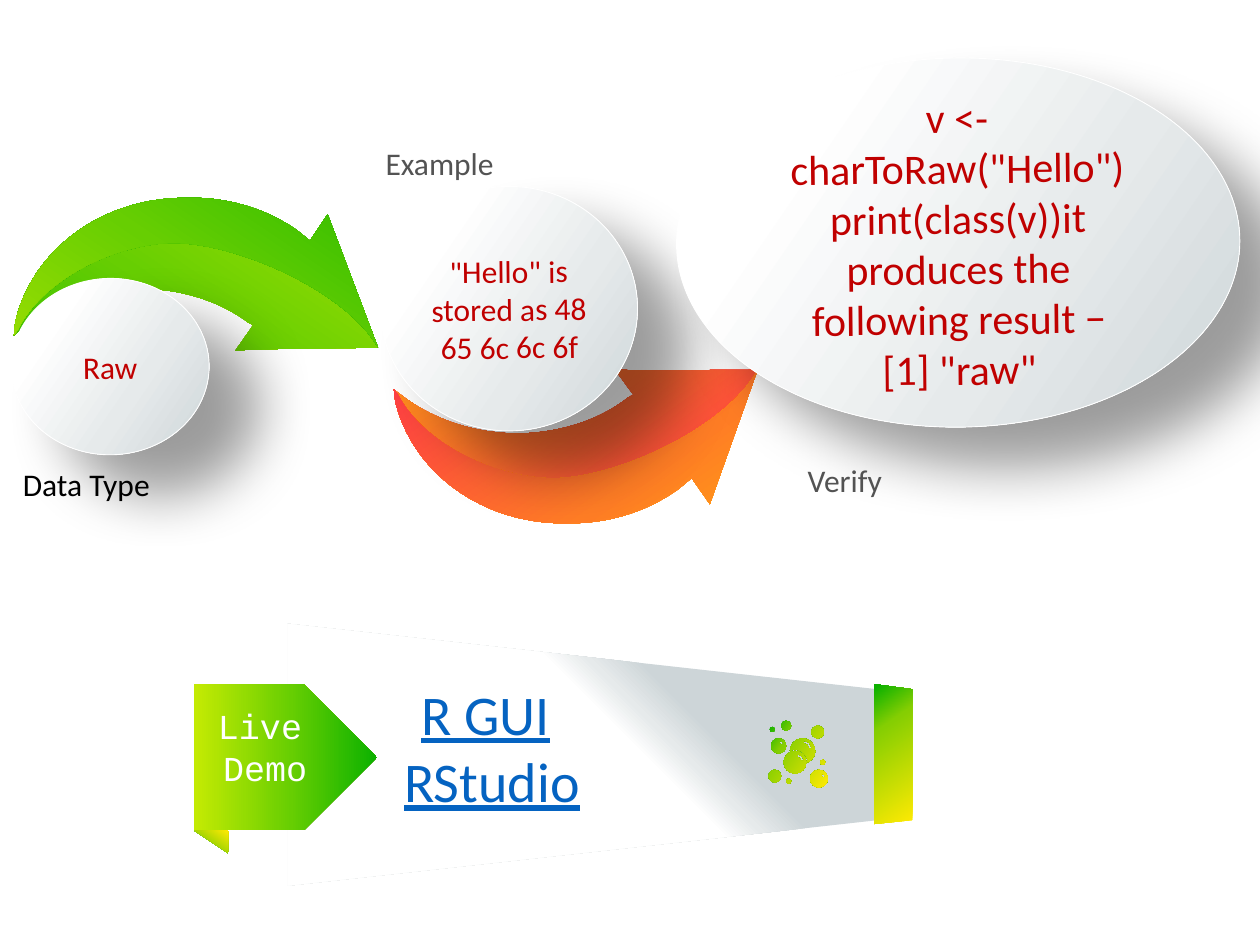
from math import ceil, cos, radians, sin, tan

from lxml.etree import SubElement
from pptx import Presentation
from pptx.dml.color import RGBColor
from pptx.enum.shapes import MSO_SHAPE
from pptx.enum.text import MSO_ANCHOR, MSO_AUTO_SIZE, PP_ALIGN
from pptx.oxml.ns import qn
from pptx.util import Inches, Pt

WHITE = RGBColor(0xFF, 0xFF, 0xFF)
BLACK = RGBColor(0, 0, 0)
GREY = RGBColor(0x53, 0x53, 0x53)
DARK_RED = RGBColor(0xC0, 0, 0)
LINK_BLUE = RGBColor(0x05, 0x63, 0xC1)
LIME = RGBColor(0xC3, 0xEA, 0x03)
LEAF = RGBColor(0x67, 0xCE, 0x02)
GREEN = RGBColor(0x0C, 0xB1, 0x00)
GRASS = RGBColor(0x85, 0xCE, 0x02)
YELLOW = RGBColor(0xFF, 0xEA, 0x03)
RED = RGBColor(0xFF, 0x38, 0x47)
ORANGE = RGBColor(0xFF, 0x7D, 0x25)
AMBER = RGBColor(0xFF, 0xC2, 0x03)
SILVER = RGBColor(0xCD, 0xD5, 0xD8)
PEARL = RGBColor(0xE6, 0xEA, 0xEB)

BUBBLE_STOPS = [(23, WHITE), (63, PEARL), (100, SILVER)]
ACCENT_STOPS = [(2, GREEN), (29, GRASS), (100, YELLOW)]

# Arrow edges measured from the arrow's centre; three points make a curve
ARROW_START = (-0.21, -0.83)
ARROW_CREST = [[ARROW_START], [(0.13, -0.84), (0.44, -0.74), (0.68, -0.57)],
               [(0.78, -0.49)], [(0.92, -0.7)], [(1.32, 0.36)]]
ARROW_TAIL = [[(-1.57, 0.26)], [(-1.56, 0.16)],
              [(-1.43, -0.41), (-0.88, -0.83), ARROW_START]]
ARROW_BACK = [[(0.53, 0.37)], [(0.19, 0.38)], [(0.33, 0.18)], [(0.29, 0.16)],
              [(0.05, -0.02), (-0.26, -0.11), (-0.59, -0.11)],
              [(-0.98, -0.1), (-1.32, 0.04), (-1.57, 0.26)]]
ARROW_FRONT = [[(1.06, -0.1), (0.16, -0.49), (-0.34, -0.47)],
               [(-0.8, -0.45), (-1.35, -0.17), (-1.54, 0.22)]]


def turn(point, degrees):
    x, y = point
    c, s = cos(radians(degrees)), sin(radians(degrees))
    return x * c - y * s, x * s + y * c


def polygon(*points):
    return [[point] for point in points]


def arc(x, y, radius, first=0, last=360):
    """Start point, then one curve for each quarter turn at most."""
    count = ceil(abs(last - first) / 90)
    step = (last - first) / count
    pull = 4 / 3 * tan(radians(step) / 4)
    quarter = [(1, pull), turn((1, -pull), step), turn((1, 0), step)]

    def place(point, degrees):
        px, py = turn(point, degrees)
        return x + radius * px, y + radius * py

    return [[place((1, 0), first)]] + [
        [place(point, first + i * step) for point in quarter] for i in range(count)]


def fill_gradient(shape, stops, angle):
    shape.fill.gradient()
    gradient = shape._element.spPr.find(qn("a:gradFill"))
    for child in list(gradient):
        gradient.remove(child)
    stop_list = SubElement(gradient, qn("a:gsLst"))
    for position, color in stops:
        stop = SubElement(stop_list, qn("a:gs"), pos=str(position * 1000))
        SubElement(stop, qn("a:srgbClr"), val=str(color))
    SubElement(gradient, qn("a:lin"), ang=str(angle * 60000), scaled="0")


def bend_lines(shape, contours):
    """Join the three lines of each curved segment into one Bézier curve."""
    lines = iter(list(shape._element.iter(qn("a:lnTo"))))
    for contour in contours:
        for segment in contour[1:]:
            curve, *rest = [next(lines) for _ in segment]
            if rest:
                curve.tag = qn("a:cubicBezTo")
            for line in rest:
                curve.append(line[0])
                line.getparent().remove(line)


def add_outline(shapes, origin, contours, stops, angle, rotation=0):
    """Draw contours around origin; the gradient turns with the shape."""
    level = [[tuple(Inches(v) for v in turn(point, -rotation))
              for segment in contour for point in segment] for contour in contours]
    builder = shapes.build_freeform(*level[0][0])
    for index, points in enumerate(level):
        if index:
            builder.move_to(*points[0])
        builder.add_line_segments(points[1:], close=True)
    shape = builder.convert_to_shape()
    bend_lines(shape, contours)
    center = turn((shape.left + shape.width / 2, shape.top + shape.height / 2), rotation)
    shape.left = int(Inches(origin[0]) + center[0] - shape.width / 2)
    shape.top = int(Inches(origin[1]) + center[1] - shape.height / 2)
    shape.rotation = rotation
    shape.shadow.inherit = False
    shape.line.fill.background()
    fill_gradient(shape, stops, angle)


def write(shape, text, size, color, align=PP_ALIGN.CENTER, font="Calibri", underline=None):
    frame = shape.text_frame
    frame.word_wrap = True
    frame.margin_left = frame.margin_right = Inches(0.05)
    frame.margin_top = frame.margin_bottom = Inches(0.05)
    frame.text = text
    for paragraph in frame.paragraphs:
        paragraph.alignment = align
        for run in paragraph.runs:
            run.font.size = Pt(size)
            run.font.name = font
            run.font.color.rgb = color
            run.font.underline = underline


def add_label(shapes, box, text, size, color, **style):
    label = shapes.add_textbox(*(Inches(v) for v in box))
    write(label, text, size, color, **style)
    label.text_frame.auto_size = MSO_AUTO_SIZE.SHAPE_TO_FIT_TEXT
    return label


def add_bubble(shapes, box, text, size):
    bubble = shapes.add_shape(MSO_SHAPE.OVAL, *(Inches(v) for v in box))
    bubble.rotation = 359.4
    fill_gradient(bubble, BUBBLE_STOPS, 35)
    bubble.line.color.rgb = WHITE
    bubble.line.width = Pt(0.5)
    bubble.shadow.inherit = False
    effects = bubble._element.spPr.find(qn("a:effectLst"))
    shadow = SubElement(effects, qn("a:outerShdw"), blurRad=str(Pt(33)), dist=str(Pt(36.7)),
                        dir=str(39 * 60000), algn="ctr", rotWithShape="0")
    shade = SubElement(shadow, qn("a:srgbClr"), val=str(BLACK))
    SubElement(shade, qn("a:alpha"), val="38000")
    write(bubble, text, size, DARK_RED)
    bubble.text_frame.vertical_anchor = MSO_ANCHOR.MIDDLE


def add_arrow(shapes, center, back_stops, front_stops, rotation, angle=0, mirrored=False):
    for edge, stops in ((ARROW_BACK, back_stops), (ARROW_FRONT, front_stops)):
        outline = ARROW_CREST + edge + ARROW_TAIL
        if mirrored:
            outline = [[turn((x, -y), -1.1) for x, y in segment] for segment in outline]
        add_outline(shapes, center, [outline], stops, angle, rotation)


def add_flow(shapes, left, top):
    # Data type
    add_arrow(shapes, (left + 1.68, top + 2), [(1, LIME), (53, LEAF), (100, GREEN)],
              [(0, GREEN), (47, LEAF), (99, LIME)], 124)
    add_bubble(shapes, (left + 0.09, top + 1.81, 1.57, 1.4), "Raw", 18)
    # Example
    add_arrow(shapes, (left + 4.7, top + 2.92), [(23, RED), (63, ORANGE), (100, AMBER)],
              [(0, AMBER), (37, ORANGE), (77, RED)], 54.7, angle=180, mirrored=True)
    add_bubble(shapes, (left + 3.02, top + 1.08, 2.04, 1.94),
               '"Hello" is stored as 48 65 6c 6c 6f', 18)
    # Verify
    add_bubble(shapes, (left + 5.37, top + 0.06, 4.47, 2.93),
               'v <- charToRaw("Hello") print(class(v))it produces the following result −\n'
               '[1] "raw"', 24)
    # Step captions
    for x, y, caption, color, align in (
            (0.03, 3.24, "Data Type", BLACK, PP_ALIGN.CENTER),
            (3.01, 0.69, "Example", GREY, PP_ALIGN.LEFT),
            (6.05, 3.21, "Verify", GREY, PP_ALIGN.CENTER)):
        add_label(shapes, (left + x, top + y, 1.31, 0.4), caption, 18, color, align=align)


def add_bubbles_icon(shapes, left, top):
    dots = [(0.14, 0.04, 0.04), (0.39, 0.09, 0.05), (0.03, 0.07, 0.02), (0.08, 0.2, 0.06),
            (0.21, 0.33, 0.09), (0.43, 0.33, 0.02), (0.05, 0.44, 0.05), (0.4, 0.46, 0.07),
            (0.16, 0.48, 0.02)]
    glints = [(0.09, 0.19, 0.03), (0.28, 0.22, 0.06), (0.23, 0.32, 0.05), (0.42, 0.45, 0.03)]
    crescent = arc(0.27, 0.24, 0.1, 180, 425) + arc(0.21, 0.33, 0.1, -4, -113)
    contours = [arc(*dot) for dot in dots] + [crescent]
    contours += [arc(x, y, r, -90, 0) + arc(x, y, r - 0.02, 0, -90) for x, y, r in glints]
    add_outline(shapes, (left, top), contours, ACCENT_STOPS, 35)


def add_live_demo(shapes, left, top):
    origin = (left, top)
    # Beam, tag, fold and end cap
    for points, stops, angle, rotation in (
            ([(0.74, 2.08), (5.42, 1.56), (5.42, 0.52), (0.74, 0)],
             [(32, SILVER), (38, PEARL), (43, WHITE)], 45, 90),
            ([(0, 1.64), (0.87, 1.64), (1.45, 1.06), (0.87, 0.48), (0, 0.48)],
             [(1, LIME), (53, LEAF), (100, GREEN)], 180, 180),
            ([(0.27, 1.82), (0, 1.64), (0.27, 1.64)], ACCENT_STOPS, 35, 270),
            ([(5.4, 0.48), (5.4, 1.59), (5.7, 1.56), (5.7, 0.52)],
             [(0, YELLOW), (71, GRASS), (98, GREEN)], 145, 90)):
        add_outline(shapes, origin, [polygon(*points)], stops, angle, rotation)
    # Tools and tag text
    tools = add_label(shapes, (left + 1.16, top + 0.39, 2.41, 1.18), "R GUI\nRStudio", 32,
                      LINK_BLUE, underline=True)
    space = tools.text_frame.paragraphs[0].add_run()
    space.text = " "
    space.font.size = Pt(32)
    space.font.name = "Calibri"
    add_bubbles_icon(shapes, left + 4.56, top + 0.77)
    tag = add_label(shapes, (left + 0.14, top + 0.59, 0.85, 0.77), "Live\nDemo", 20, WHITE,
                    font="Courier New")
    tag.text_frame.paragraphs[0].alignment = PP_ALIGN.LEFT


def main():
    presentation = Presentation()
    presentation.slide_width, presentation.slide_height = Inches(10), Inches(7.5)
    slide = presentation.slides.add_slide(presentation.slide_layouts[6])
    add_flow(slide.shapes, 0, 0.4)
    add_live_demo(slide.shapes, 1.54, 4.95)
    presentation.save("out.pptx")


if __name__ == "__main__":
    main()
